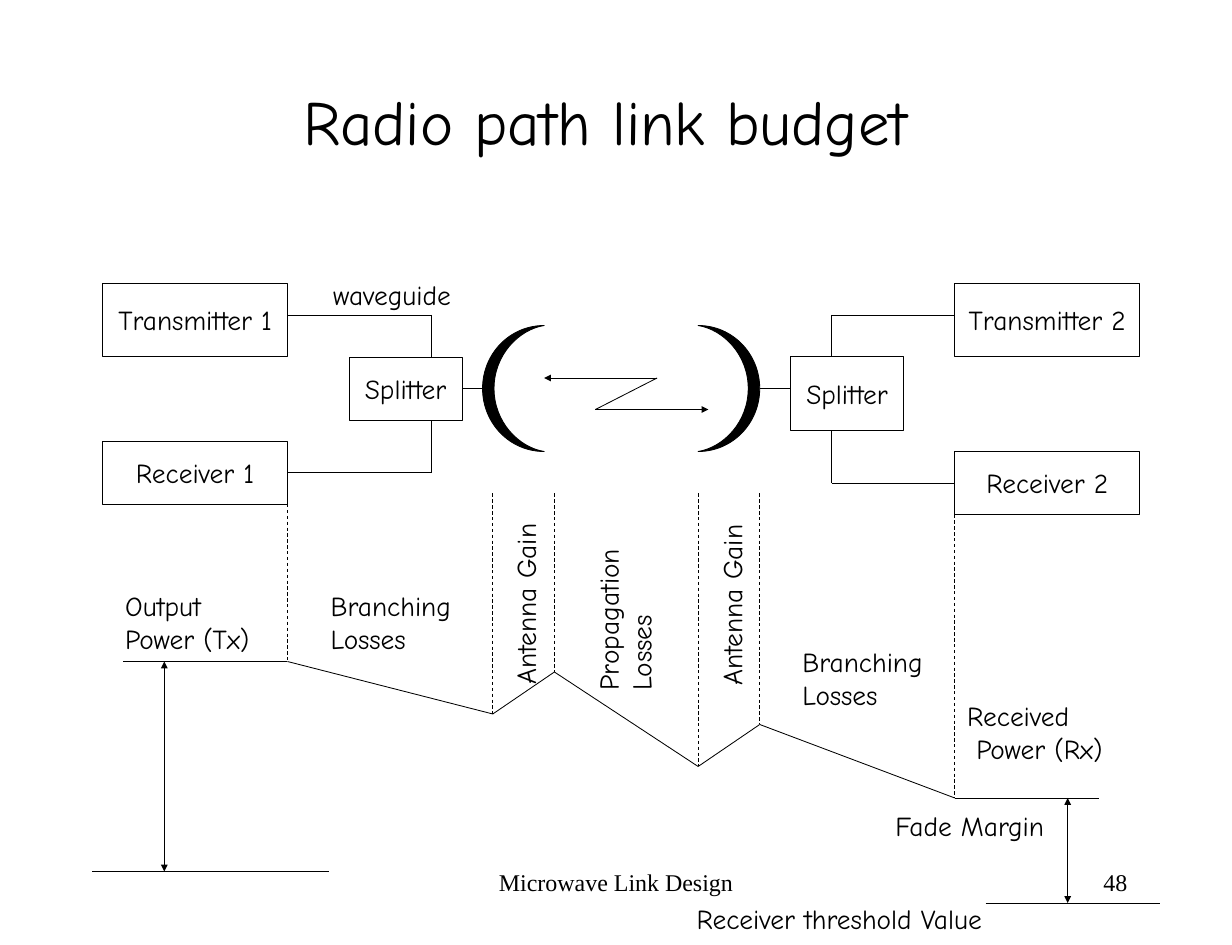
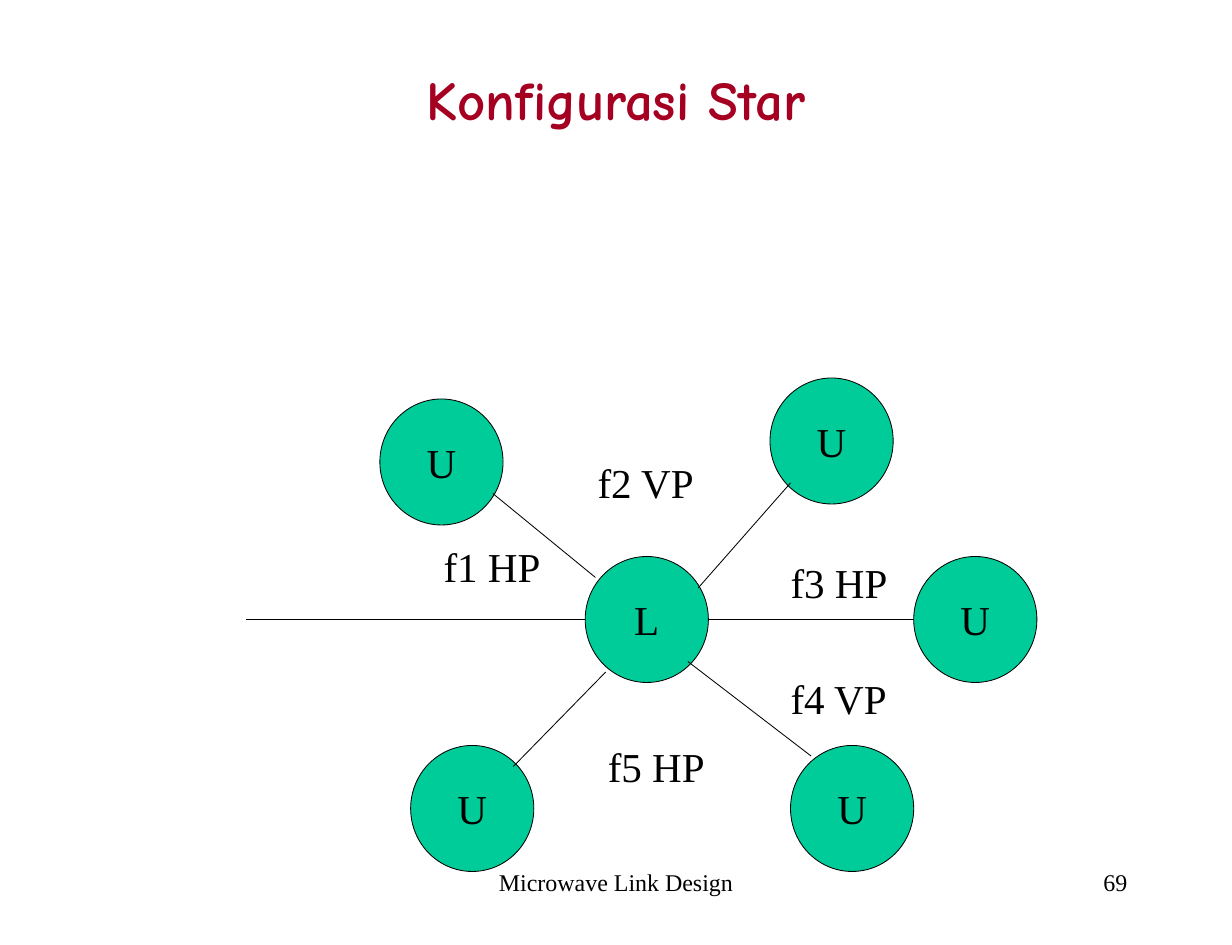
from dataclasses import dataclass
from itertools import pairwise

from pptx import Presentation
from pptx.dml.color import RGBColor
from pptx.enum.dml import MSO_LINE
from pptx.enum.shapes import MSO_CONNECTOR, MSO_SHAPE
from pptx.enum.text import MSO_ANCHOR, MSO_AUTO_SIZE, PP_ALIGN
from pptx.oxml.ns import qn
from pptx.util import Inches, Pt
from lxml import etree

STRAIGHT = MSO_CONNECTOR.STRAIGHT
RECTANGLE, CIRCLE = MSO_SHAPE.RECTANGLE, MSO_SHAPE.OVAL
DASH = MSO_LINE.DASH
TOP, MIDDLE = MSO_ANCHOR.TOP, MSO_ANCHOR.MIDDLE
LEFT, CENTER, RIGHT = PP_ALIGN.LEFT, PP_ALIGN.CENTER, PP_ALIGN.RIGHT
TITLE_ONLY = 5

# The slide is a grid of 120 columns by 90 rows
WIDTH, HEIGHT = Inches(15), Inches(11.5)
COLUMN, ROW = WIDTH / 120, HEIGHT / 90


@dataclass(frozen=True)
class TextStyle:
    font: str
    size: int
    color: RGBColor
    bold: bool = False


@dataclass(frozen=True)
class Theme:
    ink = RGBColor(0, 0, 0)
    paper = RGBColor(255, 255, 255)
    station = RGBColor(0x00, 0xCC, 0x99)
    hairline = Pt(0.75)
    inset_x, inset_y = Inches(0.15), Inches(0.08)
    title = TextStyle("Comic Neue", 55, ink)
    red_title = TextStyle("Comic Neue", 48, RGBColor(0xA5, 0x00, 0x21), True)
    label = TextStyle("Comic Neue", 24, ink)
    star = TextStyle("Times New Roman", 36, ink)
    footer = TextStyle("Times New Roman", 21, ink)


THEME = Theme()


def x(column):
    return round(column * COLUMN)


def y(row):
    return round(row * ROW)


def grid_box(column, row, columns, rows):
    return x(column), y(row), x(columns), y(rows)


# Text
def write(shape, text, style, align=LEFT, anchor=TOP, wrap=True):
    frame = shape.text_frame
    frame.text = text
    frame.auto_size = MSO_AUTO_SIZE.NONE
    frame.word_wrap = wrap
    frame.vertical_anchor = anchor
    frame.margin_left = frame.margin_right = THEME.inset_x
    frame.margin_top = frame.margin_bottom = THEME.inset_y
    for paragraph in frame.paragraphs:
        paragraph.alignment = align
        font = paragraph.font
        font.name, font.size, font.bold = style.font, Pt(style.size), style.bold
        font.color.rgb = style.color


def add_label(slide, text, column, row, columns, style=THEME.label,
              rotation=0, wrap=True):
    lines = text.count("\n") + 1
    rows = 1.17 + lines * style.size * 0.13
    label = slide.shapes.add_textbox(*grid_box(column, row, columns, rows))
    label.rotation = rotation
    write(label, text, style, wrap=wrap)


def add_page(deck, title, style, title_box, number):
    slide = deck.slides.add_slide(deck.slide_layouts[TITLE_ONLY])
    heading = slide.shapes.title
    heading.left, heading.top, heading.width, heading.height = grid_box(*title_box)
    write(heading, title, style, CENTER, MIDDLE)
    for text, column, columns, align in (("Microwave Link Design", 41, 38, CENTER),
                                         (str(number), 86, 25, RIGHT)):
        footer = slide.shapes.add_textbox(*grid_box(column, 82, columns, 6))
        write(footer, text, THEME.footer, align)
    return slide


# Shapes and lines
def outline(shape, fill):
    shape.shadow.inherit = False
    shape.fill.solid()
    shape.fill.fore_color.rgb = fill
    shape.line.color.rgb = THEME.ink
    shape.line.width = THEME.hairline


def add_block(slide, kind, text, box, fill, style):
    block = slide.shapes.add_shape(kind, *grid_box(*box))
    outline(block, fill)
    write(block, text, style, CENTER, MIDDLE, wrap=False)


def add_line(slide, start, end, dashed=False, arrows=()):
    line = slide.shapes.add_connector(STRAIGHT, x(start[0]), y(start[1]),
                                      x(end[0]), y(end[1]))
    line.line.color.rgb = THEME.ink
    line.line.width = THEME.hairline
    if dashed:
        line.line.dash_style = DASH
    for arrow in arrows:
        etree.SubElement(line.line._get_or_add_ln(), qn(f"a:{arrow}"), type="triangle")
    etree.SubElement(line._element.spPr, qn("a:effectLst"))


def add_route(slide, *points):
    for start, end in pairwise(points):
        add_line(slide, start, end)


def add_antenna(slide, tip_column, direction):
    """Crescent whose back points left (-1) or right (1)."""
    def place(depth, rise):
        return x(tip_column + direction * depth), y(37 + rise)

    # Each quarter curve: two control points, then its end
    curves = [((2.48, -5.6), (4.88, -3.2), (4.88, 0)),
              ((4.88, 3.2), (2.48, 5.6), (0, 6)),
              ((3.36, 6), (6, 3.3), (6, 0)),
              ((6, -3.3), (3.36, -6), (0, -6))]
    builder = slide.shapes.build_freeform(*place(0, -6))
    builder.add_line_segments([place(*curve[-1]) for curve in curves], close=True)
    antenna = builder.convert_to_shape()
    outline(antenna, THEME.ink)

    # Bend the straight sides into curves
    for side, curve in zip(list(antenna._element.iter(qn("a:lnTo"))), curves):
        bend = etree.Element(qn("a:cubicBezTo"))
        for point in curve:
            across, down = place(*point)
            etree.SubElement(bend, qn("a:pt"), x=str(across - antenna.left),
                             y=str(down - antenna.top))
        side.getparent().replace(side, bend)


def build_link_budget(deck):
    slide = add_page(deck, "Radio path link budget", THEME.title, (8, 4, 102, 15), 48)

    # Radio equipment
    for text, box in (("Transmitter 1", (10, 27, 18, 6.95)), ("Receiver 1", (10, 42, 18, 6)),
                      ("Splitter", (34, 34, 11, 6)), ("Splitter", (77, 33.95, 11, 7.05)),
                      ("Transmitter 2", (93, 27, 18, 6.95)), ("Receiver 2", (93, 43, 18, 6))):
        add_block(slide, RECTANGLE, text, box, THEME.paper, THEME.label)

    # Waveguides
    add_route(slide, (28, 30), (42, 30), (42, 34))
    add_route(slide, (28, 45), (42, 45), (42, 40))
    add_route(slide, (93, 30), (81, 30), (81, 34))
    add_route(slide, (81, 41), (81, 46), (93, 46))
    add_route(slide, (45, 37), (48, 37))
    add_route(slide, (74, 37), (77, 37))

    # Antennas and the radio path between them
    add_antenna(slide, 53, -1)
    add_antenna(slide, 68, 1)
    add_line(slide, (58, 39), (69, 39), arrows=("tailEnd",))
    add_line(slide, (58, 39), (64, 36))
    add_line(slide, (64, 36), (53, 36), arrows=("tailEnd",))

    # Power level along the link, with a guide above each turn
    levels = [(28, 63), (48, 68), (54, 64), (68, 73), (74, 69), (93, 76)]
    guide_tops = [48, 47, 47, 47, 47, 49]
    for (column, level), top in zip(levels, guide_tops):
        add_line(slide, (column, top), (column, level), dashed=True)
    add_route(slide, (12, 63), *levels, (107, 76))

    # Transmit power and fade margin
    for column, top, bottom in ((16, 63, 83), (104, 76, 86)):
        add_line(slide, (column, top), (column, bottom), arrows=("headEnd", "tailEnd"))
    add_line(slide, (9, 83), (32, 83))
    add_line(slide, (96, 86), (113, 86))

    # Labels
    for text, column, row, columns in (
            ("Output\nPower (Tx)", 11, 55.5, 19.2),
            ("Branching\nLosses", 31, 55.5, 18.5),
            ("waveguide", 31.25, 25.85, 14),
            ("Branching\nLosses", 76.95, 60.85, 15.1),
            ("Received\n Power (Rx)", 93, 66, 34),
            ("Receiver threshold Value", 66.65, 85.3, 43.7),
            ("Fade Margin", 86, 76.45, 30)):
        add_label(slide, text, column, row, columns)
    for text, column, row, columns in (
            ("Propagation\nLosses", 50.05, 52.75, 21.4),
            ("Antenna Gain", 41.3, 54.6, 19.6),
            ("Antenna Gain", 61.4, 54.7, 19.6)):
        add_label(slide, text, column, row, columns, rotation=270)


def build_star(deck):
    slide = add_page(deck, "Konfigurasi Star", THEME.red_title, (9, 8, 102, 9), 69)
    # The heading sits high in its box
    slide.shapes.title.text_frame.margin_bottom = Inches(0.88)

    # Stations around the hub
    for text, column, row in (("L", 57, 53), ("U", 40, 71), ("U", 77, 71),
                              ("U", 37, 38), ("U", 75, 36), ("U", 89, 53)):
        add_block(slide, CIRCLE, text, (column, row, 12, 12), THEME.station, THEME.star)

    # Links to the hub
    for start, end in (((24, 59), (57, 59)), ((69, 59), (89, 59)),
                       ((48, 47), (58, 55)), ((77, 46), (68, 56)),
                       ((50, 73), (59, 64)), ((67, 63), (79, 72))):
        add_line(slide, start, end)

    # Frequency and polarisation of each link
    for text, column, row in (("f1 HP", 42, 50.95), ("f2 VP", 57, 42.95),
                              ("f3 HP", 75.8, 52.5), ("f4 VP", 75.8, 63.5),
                              ("f5 HP", 58, 70)):
        add_label(slide, text, column, row, 11.8, THEME.star, wrap=False)


def main():
    deck = Presentation()
    deck.slide_width, deck.slide_height = WIDTH, HEIGHT
    build_link_budget(deck)
    build_star(deck)
    deck.save("out.pptx")


if __name__ == "__main__":
    main()
